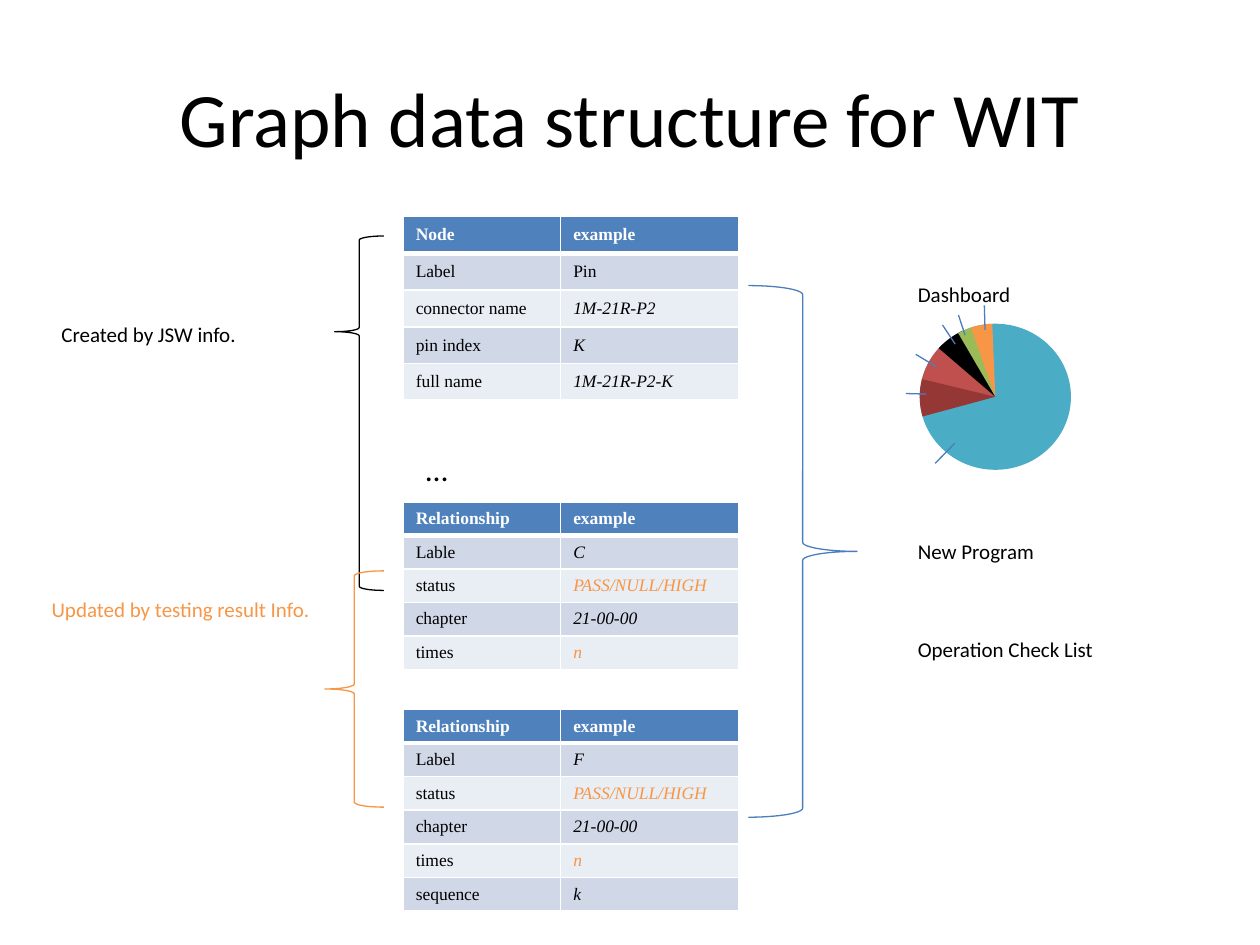
from typing import NamedTuple

from lxml import etree
from pptx import Presentation
from pptx.dml.color import RGBColor
from pptx.enum.shapes import MSO_CONNECTOR, MSO_SHAPE
from pptx.enum.text import MSO_ANCHOR, MSO_AUTO_SIZE, PP_ALIGN
from pptx.oxml.ns import qn
from pptx.util import Pt

STRAIGHT = MSO_CONNECTOR.STRAIGHT
ELLIPSE, PIE = MSO_SHAPE.OVAL, MSO_SHAPE.PIE
LEFT_BRACE, RIGHT_BRACE = MSO_SHAPE.LEFT_BRACE, MSO_SHAPE.RIGHT_BRACE
MIDDLE, CENTER, LEFT = MSO_ANCHOR.MIDDLE, PP_ALIGN.CENTER, PP_ALIGN.LEFT
FIT_SHAPE = MSO_AUTO_SIZE.SHAPE_TO_FIT_TEXT

BLACK = RGBColor(0x00, 0x00, 0x00)
WHITE = RGBColor(0xFF, 0xFF, 0xFF)
ORANGE = RGBColor(0xF7, 0x96, 0x46)
BLUE = RGBColor(0x4F, 0x81, 0xBD)
LINE_BLUE = RGBColor(0x4B, 0x7E, 0xBC)
TEAL = RGBColor(0x4B, 0xAC, 0xC6)
RED = RGBColor(0xC0, 0x50, 0x4D)
DARK_RED = RGBColor(0x95, 0x37, 0x35)
GREEN = RGBColor(0x9B, 0xBB, 0x59)
BANDS = (RGBColor(0xE9, 0xED, 0xF4), RGBColor(0xD0, 0xD8, 0xE8))

BODY_FONT, TABLE_FONT = "Calibri", "Times New Roman"
TABLE_LEFT, COLUMN_WIDTHS = 230.4, (90, 101.5)
PIE_BOX = (525.6, 185, 86.4, 83.5)
DEGREE = 0.6  # one degree in adjustment units
UPDATED_VALUES = ("PASS/NULL/HIGH", "n")


class DataTable(NamedTuple):
    top: float
    row_height: float
    rows: tuple


class Label(NamedTuple):
    text: str
    left: float
    top: float
    width: float
    height: float = 21.8
    size: float = 12
    color: RGBColor = BLACK
    wrap: bool = False


class Brace(NamedTuple):
    kind: MSO_SHAPE
    left: float
    top: float
    width: float
    height: float
    color: RGBColor
    point: float = 0.5


class Slice(NamedTuple):
    start: float
    end: float
    color: RGBColor


class Leader(NamedTuple):
    x1: float
    y1: float
    x2: float
    y2: float


TABLES = (
    DataTable(123.8, 21, (
        ("Node", "example"), ("Label", "Pin"), ("connector name", "1M-21R-P2"),
        ("pin index", "K"), ("full name", "1M-21R-P2-K"))),
    DataTable(286.8, 19.15, (
        ("Relationship", "example"), ("Lable", "C"), ("status", "PASS/NULL/HIGH"),
        ("chapter", "21-00-00"), ("times", "n"))),
    DataTable(405.4, 19.2, (
        ("Relationship", "example"), ("Label", "F"), ("status", "PASS/NULL/HIGH"),
        ("chapter", "21-00-00"), ("times", "n"), ("sequence", "k"))),
)
LABELS = (
    Label("Created by JSW info.", 28, 180.3, 115),
    Label("Updated by testing result Info.", 22.4, 337.6, 163.5, color=ORANGE, wrap=True),
    Label("Dashboard", 517.4, 157.6, 67.7),
    Label("New Program", 517.4, 303.9, 81.4),
    Label("Operation Check List", 517.4, 360.2, 116),
    Label("…", 236.2, 253.4, 27.4, 29, size=18, wrap=True),
)
BRACES = (
    Brace(RIGHT_BRACE, 427.6, 163.2, 62.1, 303.8, LINE_BLUE),
    Brace(LEFT_BRACE, 191.2, 134.9, 28.1, 202.5, BLACK, 0.27),
    Brace(LEFT_BRACE, 185.6, 326.2, 33.7, 135, ORANGE),
)
SLICES = (
    Slice(192.68, 225.19, RED),
    Slice(220.59, 244.67, BLACK),
    Slice(239.7, 256.37, GREEN),
    Slice(250.61, 267.59, ORANGE),
    Slice(164.8, 193.46, DARK_RED),
)
LEADERS = (
    Leader(523.3, 202.5, 535, 209.5),
    Leader(517.7, 224.9, 529.2, 225.2),
    Leader(538.6, 185.7, 545.8, 196.6),
    Leader(547.7, 180, 551.5, 191.5),
    Leader(562.5, 174.5, 562.9, 188.5),
    Leader(534.4, 264.8, 545.6, 253.3),
)


def write_text(frame, text: str, *, size: float, font: str = BODY_FONT,
               color: RGBColor = BLACK, bold: bool = False, italic: bool = False,
               align=LEFT) -> None:
    paragraph = frame.paragraphs[0]
    paragraph.alignment = align
    run = paragraph.add_run()
    run.text = text
    run.font.name, run.font.size = font, Pt(size)
    run.font.bold, run.font.italic = bold, italic
    run.font.color.rgb = color


def set_borders(cell, top: float, bottom: float) -> None:
    properties = cell._tc.get_or_add_tcPr()
    for side, width in (("L", 1), ("R", 1), ("T", top), ("B", bottom)):
        line = etree.SubElement(properties, qn(f"a:ln{side}"), w=str(Pt(width)))
        fill = etree.SubElement(line, qn("a:solidFill"))
        etree.SubElement(fill, qn("a:srgbClr"), val=str(WHITE))


def add_data_table(slide, data: DataTable) -> None:
    table = slide.shapes.add_table(
        len(data.rows), len(COLUMN_WIDTHS), Pt(TABLE_LEFT), Pt(data.top),
        Pt(sum(COLUMN_WIDTHS)), Pt(data.row_height * len(data.rows))).table
    for column, width in zip(table.columns, COLUMN_WIDTHS):
        column.width = Pt(width)
    for row_index, values in enumerate(data.rows):
        table.rows[row_index].height = Pt(data.row_height)
        header = row_index == 0
        for column_index, value in enumerate(values):
            cell = table.cell(row_index, column_index)
            cell.vertical_anchor = MIDDLE
            set_borders(cell, 3 if row_index == 1 else 1, 3 if header else 1)
            cell.fill.solid()
            cell.fill.fore_color.rgb = BLUE if header else BANDS[row_index % 2]
            color = WHITE if header else ORANGE if value in UPDATED_VALUES else BLACK
            italic = column_index == 1 and not header and value != "Pin"
            write_text(cell.text_frame, value, size=10, font=TABLE_FONT,
                       color=color, bold=header, italic=italic)


def add_label(slide, label: Label) -> None:
    box = slide.shapes.add_textbox(
        Pt(label.left), Pt(label.top), Pt(label.width), Pt(label.height))
    box.text_frame.word_wrap = label.wrap
    box.text_frame.auto_size = FIT_SHAPE
    write_text(box.text_frame, label.text, size=label.size, color=label.color)


def add_brace(slide, brace: Brace) -> None:
    shape = slide.shapes.add_shape(
        brace.kind, Pt(brace.left), Pt(brace.top), Pt(brace.width), Pt(brace.height))
    shape.shadow.inherit = False
    shape.adjustments[1] = brace.point
    shape.fill.background()
    shape.line.color.rgb = brace.color
    shape.line.width = Pt(0.75)


def add_pie_part(group, kind: MSO_SHAPE, color: RGBColor):
    shape = group.shapes.add_shape(kind, *map(Pt, PIE_BOX))
    shape.shadow.inherit = False
    shape.fill.solid()
    shape.fill.fore_color.rgb = color
    shape.line.fill.background()
    return shape


def add_dashboard(slide) -> None:
    group = slide.shapes.add_group_shape()
    add_pie_part(group, ELLIPSE, TEAL)
    for part in SLICES:
        shape = add_pie_part(group, PIE, part.color)
        shape.adjustments[0] = part.start * DEGREE
        shape.adjustments[1] = part.end * DEGREE
    for leader in LEADERS:
        connector = group.shapes.add_connector(STRAIGHT, *map(Pt, leader))
        connector.line.color.rgb = LINE_BLUE
        connector.line.width = Pt(0.75)
        etree.SubElement(connector._element.spPr, qn("a:effectLst"))


def main() -> None:
    presentation = Presentation()
    presentation.slide_width, presentation.slide_height = Pt(720), Pt(540)
    slide = presentation.slides.add_slide(presentation.slide_layouts[5])
    title = slide.shapes.title
    title.left, title.top, title.width, title.height = map(Pt, (36, 21.6, 648, 90))
    title.text_frame.vertical_anchor = MIDDLE
    write_text(title.text_frame, "Graph data structure for WIT", size=44, align=CENTER)
    for data in TABLES:
        add_data_table(slide, data)
    add_dashboard(slide)
    for label in LABELS:
        add_label(slide, label)
    for brace in BRACES:
        add_brace(slide, brace)
    presentation.save("out.pptx")


if __name__ == "__main__":
    main()
